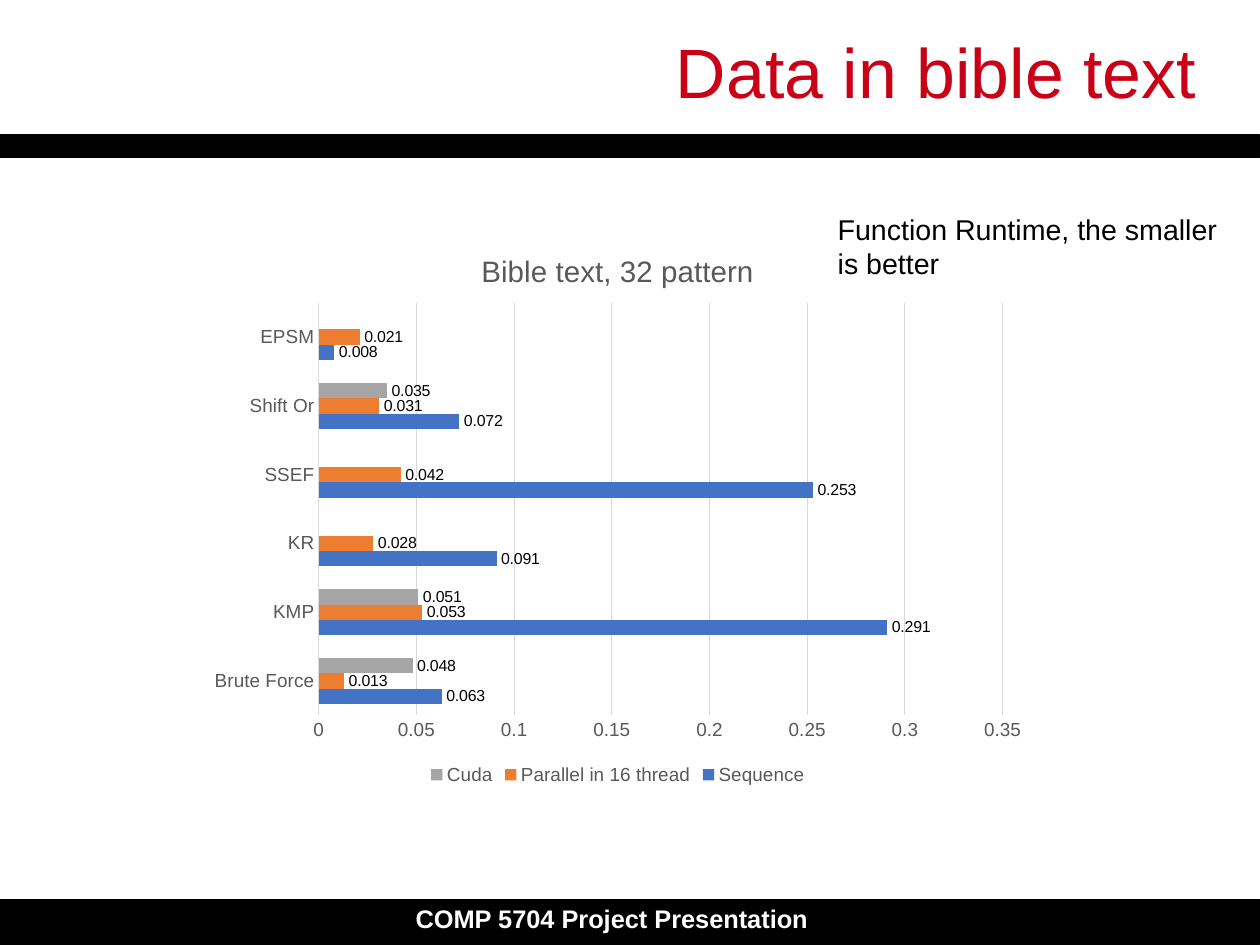
from lxml import etree
from pptx import Presentation
from pptx import util as u
from pptx.chart.data import CategoryChartData
from pptx.dml.color import RGBColor
from pptx.enum import chart as ch
from pptx.enum import shapes, text
from pptx.oxml import parse_xml
from pptx.oxml.ns import nsdecls

Pt = u.Pt
FONT = "Arial"
BLACK = RGBColor(0x00, 0x00, 0x00)
WHITE = RGBColor(0xFF, 0xFF, 0xFF)
RED = RGBColor(0xC9, 0x00, 0x16)
GREY = RGBColor(0x59, 0x59, 0x59)
GRID = RGBColor(0xD9, 0xD9, 0xD9)
BLUE = RGBColor(0x44, 0x72, 0xC4)
ORANGE = RGBColor(0xED, 0x7D, 0x31)
SILVER = RGBColor(0xA5, 0xA5, 0xA5)

SLIDE_W, SLIDE_H = 793.7, 595.28
ALGORITHMS = ["Brute Force", "KMP", "KR", "SSEF", "Shift Or", "EPSM"]
RUNTIMES = [
    ("Sequence", BLUE, [0.063, 0.291, 0.091, 0.253, 0.072, 0.008]),
    ("Parallel in 16 thread", ORANGE, [0.013, 0.053, 0.028, 0.042, 0.031, 0.021]),
    ("Cuda", SILVER, [0.048, 0.051, None, None, 0.035, None]),
]
PLOT_LAYOUT = {"x": 0.144, "y": 0.131, "w": 0.814, "h": 0.737}


def set_font(font, size, color, bold=False):
    font.name = FONT
    font.size = Pt(size)
    font.color.rgb = color
    font.bold = bold


def add_bar(s, top, height):
    sp = s.shapes.add_shape(shapes.MSO_SHAPE.RECTANGLE, 0, Pt(top), Pt(SLIDE_W), Pt(height))
    sp.shadow.inherit = False
    sp.fill.solid()
    sp.fill.fore_color.rgb = BLACK
    sp.line.color.rgb = BLACK
    sp.line.width = Pt(0.75)


def add_text(s, box, content, size, color, bold=False, wrap=True, margins=(7.2, 3.6, 7.2, 3.6),
             align=text.PP_ALIGN.LEFT, anchor=text.MSO_ANCHOR.TOP, spacing=1.0):
    sp = s.shapes.add_textbox(*(Pt(v) for v in box))
    tf = sp.text_frame
    tf.word_wrap = wrap
    tf.vertical_anchor = anchor
    tf.margin_left, tf.margin_top, tf.margin_right, tf.margin_bottom = (Pt(v) for v in margins)
    p = tf.paragraphs[0]
    p.alignment = align
    p.line_spacing = spacing
    r = p.add_run()
    r.text = content
    set_font(r.font, size, color, bold)


def style_axis(axis):
    axis.major_tick_mark = axis.minor_tick_mark = ch.XL_TICK_MARK.NONE
    axis.format.line.fill.background()
    set_font(axis.tick_labels.font, 11.9, GREY)


def place_plot(chart):
    plot_area = chart.plots[0]._element.getparent()
    for old in plot_area.findall("{*}layout"):
        plot_area.remove(old)
    layout = parse_xml(f'<c:layout {nsdecls("c")}><c:manualLayout/></c:layout>')
    settings = {"layoutTarget": "inner", "xMode": "edge", "yMode": "edge", **PLOT_LAYOUT}
    for tag, val in settings.items():
        etree.SubElement(layout[0], f"{{{layout.nsmap['c']}}}{tag}").set("val", str(val))
    plot_area.insert(0, layout)


def style_series(series, color):
    series.format.fill.solid()
    series.format.fill.fore_color.rgb = color
    series.invert_if_negative = False
    labels = series.data_labels
    labels.show_value = True
    labels.position = ch.XL_LABEL_POSITION.OUTSIDE_END
    set_font(labels.font, 10, BLACK)


def add_runtime_chart(s, box):
    data = CategoryChartData()
    data.categories = ALGORITHMS
    for name, _, values in RUNTIMES:
        data.add_series(name, values)
    chart = s.shapes.add_chart(ch.XL_CHART_TYPE.BAR_CLUSTERED, *(Pt(v) for v in box), data).chart
    set_font(chart.font, 10, BLACK)

    chart.has_title = True
    r = chart.chart_title.text_frame.paragraphs[0].add_run()
    r.text = "Bible text, 32 pattern"
    set_font(r.font, 18.6, GREY)
    chart.chart_title.include_in_layout = False

    chart.has_legend = True
    chart.legend.position = ch.XL_LEGEND_POSITION.BOTTOM
    chart.legend.include_in_layout = False
    set_font(chart.legend.font, 11.9, GREY)

    style_axis(chart.category_axis)
    axis = chart.value_axis
    style_axis(axis)
    axis.minimum_scale, axis.maximum_scale, axis.major_unit = 0, 0.35, 0.05
    axis.major_gridlines.format.line.color.rgb = GRID
    axis.major_gridlines.format.line.width = Pt(0.75)

    plot = chart.plots[0]
    plot.gap_width = 150
    plot.overlap = 0
    plot.vary_by_categories = False
    for series, (_, color, _) in zip(plot.series, RUNTIMES):
        style_series(series, color)
    place_plot(chart)


def main():
    prs = Presentation()
    prs.slide_width, prs.slide_height = Pt(SLIDE_W), Pt(SLIDE_H)
    s = prs.slides.add_slide(prs.slide_layouts[6])
    add_bar(s, 566.6, 28.3)
    add_text(s, (254.8, 566.5, 261.4, 25.2), "COMP 5704 Project Presentation", 16, WHITE, bold=True,
             wrap=False, margins=(7.2, 4.3, 7.2, 3.6), spacing=0.93)
    add_bar(s, 85, 14.2)
    add_text(s, (39.6, 23, 714.2, 49), "Data in bible text", 44, RED, margins=(0, 0, 0, 0),
             align=text.PP_ALIGN.RIGHT, anchor=text.MSO_ANCHOR.MIDDLE, spacing=0.93)
    add_runtime_chart(s, (124.6, 144.5, 529.2, 352.8))
    add_text(s, (520.6, 130, 266.4, 51.1), "Function Runtime, the smaller is better", 18, BLACK)
    prs.save("out.pptx")


if __name__ == "__main__":
    main()
